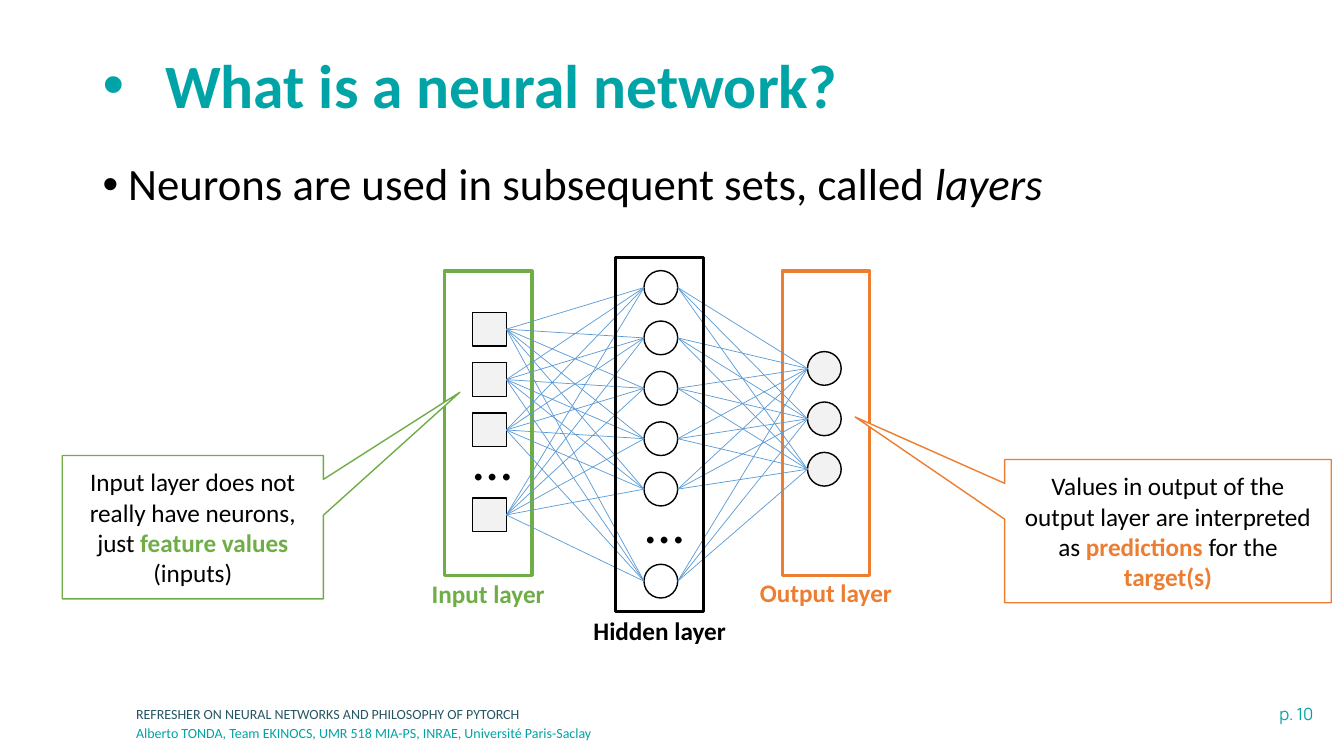
from lxml import etree
from pptx import Presentation
from pptx.dml.color import RGBColor
from pptx.enum.shapes import MSO_CONNECTOR, MSO_SHAPE
from pptx.enum.text import MSO_ANCHOR, PP_ALIGN
from pptx.oxml.ns import qn
from pptx.util import Cm, Pt

RECT = MSO_SHAPE.RECTANGLE
OVAL = MSO_SHAPE.OVAL
CALLOUT = MSO_SHAPE.RECTANGULAR_CALLOUT
STRAIGHT = MSO_CONNECTOR.STRAIGHT
LEFT, CENTER, RIGHT = PP_ALIGN.LEFT, PP_ALIGN.CENTER, PP_ALIGN.RIGHT
TOP, MIDDLE = MSO_ANCHOR.TOP, MSO_ANCHOR.MIDDLE

TEAL, DARK_TEAL = "00A3A6", "275662"
GREEN, ORANGE, BLUE = "70AD47", "ED7D31", "5B9BD5"
BLACK, WHITE, GREY = "000000", "FFFFFF", "F2F2F2"

# Network grid, in cm
NODE = 0.85
PITCH = 1.27
INPUT_X, HIDDEN_X, OUTPUT_X = 11.91, 16.23, 20.35
INPUT_TOPS = [7.87 + PITCH * i for i in range(3)] + [12.55]
HIDDEN_TOPS = [6.82 + PITCH * i for i in range(5)] + [14.22]
OUTPUT_TOPS = [8.86 + PITCH * i for i in range(3)]
FRAME_WIDTH = 2.21
LABEL_WIDTH = 4.32


def rgb(color):
    return RGBColor.from_string(color)


def add_runs(paragraph, runs, size, font="Calibri"):
    """Each run is (text, colour, style), where style holds b and/or i."""
    for text, color, style in runs:
        run = paragraph.add_run()
        run.text = text
        run.font.name = font
        run.font.size = Pt(size)
        run.font.bold = "b" in style
        run.font.italic = "i" in style
        run.font.color.rgb = rgb(color)


def add_text(slide, box, runs, size, align=LEFT, anchor=TOP, font="Calibri"):
    frame = slide.shapes.add_textbox(*map(Cm, box)).text_frame
    frame.word_wrap = True
    frame.vertical_anchor = anchor
    paragraph = frame.paragraphs[0]
    paragraph.alignment = align
    add_runs(paragraph, runs, size, font)
    return paragraph


def add_bullet(paragraph, indent):
    properties = paragraph._p.get_or_add_pPr()
    properties.set("marL", str(Cm(indent)))
    properties.set("indent", str(-Cm(indent)))
    etree.SubElement(properties, qn("a:buFont")).set("typeface", "Arial")
    etree.SubElement(properties, qn("a:buChar")).set("char", "•")
    paragraph.line_spacing = 0.9


def add_outlined(slide, kind, box, line, width, fill=None):
    shape = slide.shapes.add_shape(kind, *map(Cm, box))
    shape.shadow.inherit = False
    if fill:
        shape.fill.solid()
        shape.fill.fore_color.rgb = rgb(fill)
    else:
        shape.fill.background()
    shape.line.color.rgb = rgb(line)
    shape.line.width = Pt(width)
    return shape


def add_nodes(slide, kind, x, tops, fill):
    return [add_outlined(slide, kind, (x, top, NODE, NODE), BLACK, 1, fill)
            for top in tops]


def connect_layers(slide, sources, targets, join_source=False):
    """Link every source to every target, right side to left side."""
    for source in sources:
        for target in targets:
            link = slide.shapes.add_connector(
                STRAIGHT,
                source.left + source.width, source.top + source.height // 2,
                target.left, target.top + target.height // 2)
            if join_source:
                link.begin_connect(source, 3)
            link.line.color.rgb = rgb(BLUE)
            link.line.width = Pt(0.5)
            etree.SubElement(link._element.spPr, qn("a:effectLst"))


def add_layer_frame(slide, name, color, x, top, height, label_top):
    add_outlined(slide, RECT, (x, top, FRAME_WIDTH, height), color, 2.25)
    label_x = x + (FRAME_WIDTH - LABEL_WIDTH) / 2
    add_text(slide, (label_x, label_top, LABEL_WIDTH, 1.02),
             [(name, color, "b")], 18, CENTER)


def add_ellipsis(slide, x, top):
    add_text(slide, (x, top, 1.27, 1.96), [("…", BLACK, "")], 40, CENTER)


def add_callout(slide, box, color, tip, runs):
    callout = add_outlined(slide, CALLOUT, box, color, 1, WHITE)
    callout.adjustments[0], callout.adjustments[1] = tip
    frame = callout.text_frame
    frame.word_wrap = True
    frame.vertical_anchor = MIDDLE
    frame.paragraphs[0].alignment = CENTER
    add_runs(frame.paragraphs[0], runs, 18)


def main():
    prs = Presentation()
    prs.slide_width, prs.slide_height = Cm(33.87), Cm(19.05)
    slide = prs.slides.add_slide(prs.slide_layouts[6])

    # Footer
    add_text(slide, (27.56, 17.6, 5.79, 0.76), [("p. 10", TEAL, "")],
             12, RIGHT, font="Manrope")
    add_text(slide, (3.18, 17.65, 18.64, 0.69),
             [("REFRESHER ON NEURAL NETWORKS AND PHILOSOPHY OF PYTORCH",
               DARK_TEAL, "")], 10)
    add_text(slide, (3.18, 18.14, 18.64, 0.71),
             [("Alberto TONDA, Team EKINOCS, UMR 518 MIA-PS, INRAE, "
               "Université Paris-Saclay", TEAL, "")], 10)

    # Title and statement
    title = add_text(slide, (2.34, 1.02, 29.21, 2.41),
                     [("What is a neural network?", TEAL, "b")],
                     44, anchor=MIDDLE)
    add_bullet(title, 1.57)
    statement = add_text(
        slide, (2.34, 3.96, 29.21, 12.98),
        [("Neurons are used in subsequent sets, called ", BLACK, ""),
         ("layers", BLACK, "i")], 32)
    add_bullet(statement, 0.64)

    # Input and output frames, behind the network
    add_layer_frame(slide, "Input layer", GREEN, 11.2, 6.83, 7.67, 14.45)
    add_layer_frame(slide, "Output layer", ORANGE, 19.71, 6.83, 7.67, 14.43)

    # Network
    hidden = add_nodes(slide, OVAL, HIDDEN_X, HIDDEN_TOPS, WHITE)
    inputs = add_nodes(slide, RECT, INPUT_X, INPUT_TOPS, GREY)
    add_ellipsis(slide, 11.68, 10.57)
    add_ellipsis(slide, 16.03, 12.17)
    outputs = add_nodes(slide, OVAL, OUTPUT_X, OUTPUT_TOPS, GREY)
    connect_layers(slide, inputs, hidden, join_source=True)
    connect_layers(slide, hidden, outputs)

    # Hidden frame, in front of the network
    add_layer_frame(slide, "Hidden layer", BLACK, 15.52, 6.48, 8.92, 15.39)

    # Explanations
    add_callout(slide, (1.57, 11.48, 6.58, 3.61), GREEN, (1.023, -0.942),
                [("Input layer does not really have neurons, just ", BLACK, ""),
                 ("feature values ", GREEN, "b"),
                 ("(inputs)", BLACK, "")])
    add_callout(slide, (25.32, 11.58, 8.23, 3.61), ORANGE, (-0.958, -0.797),
                [("Values in output of the output layer are interpreted as ",
                  BLACK, ""),
                 ("predictions ", ORANGE, "b"),
                 ("for the ", BLACK, ""),
                 ("target(s)", ORANGE, "b")])

    prs.save("out.pptx")


if __name__ == "__main__":
    main()
